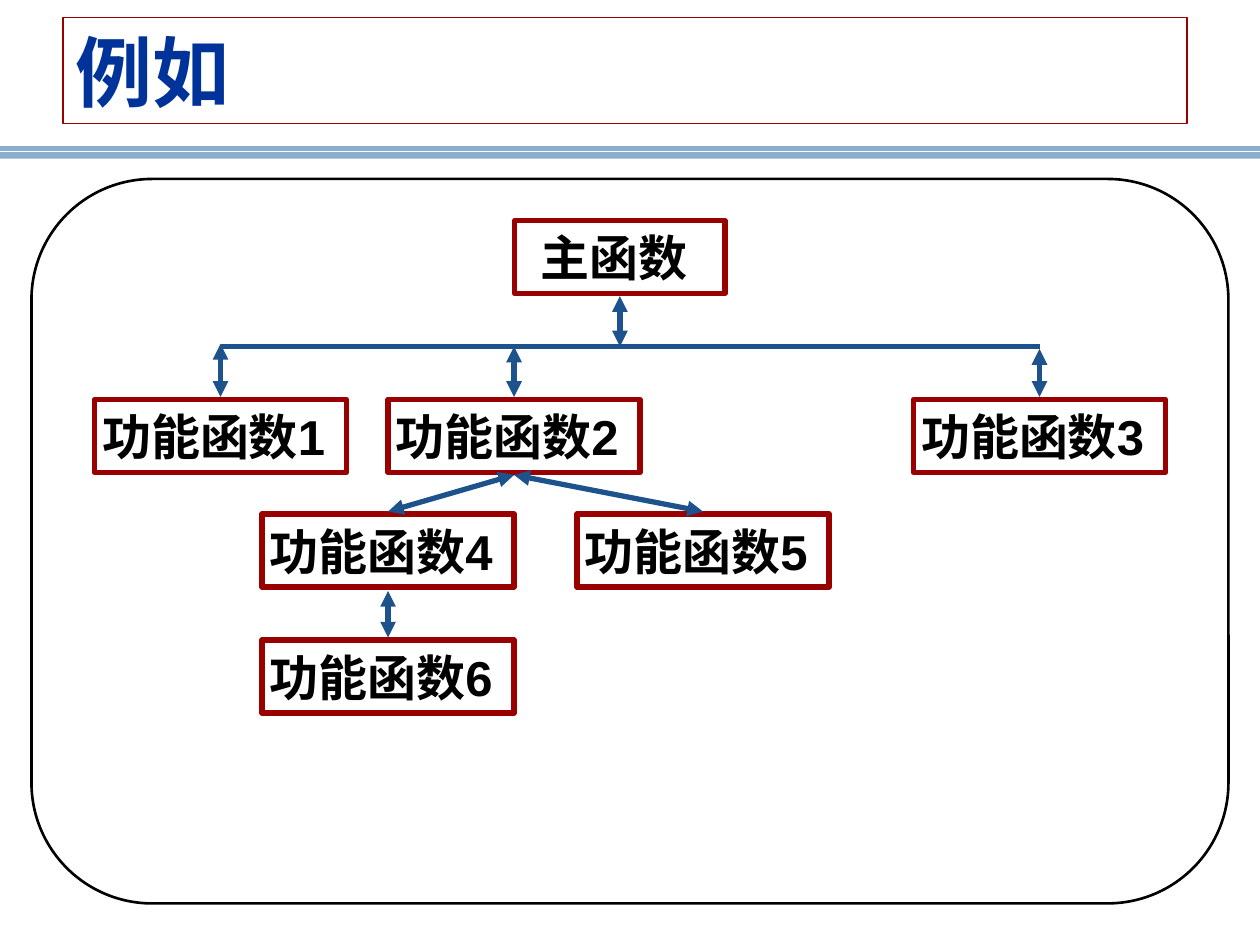
from pptx import Presentation
from pptx.dml.color import RGBColor
from pptx.enum.shapes import MSO_CONNECTOR, MSO_SHAPE
from pptx.enum.text import MSO_ANCHOR, PP_ALIGN
from pptx.oxml.ns import qn
from pptx.util import Inches, Pt
from lxml import etree

RECT = MSO_SHAPE.RECTANGLE
PANEL = MSO_SHAPE.FLOWCHART_ALTERNATE_PROCESS
STRAIGHT = MSO_CONNECTOR.STRAIGHT
MIDDLE = MSO_ANCHOR.MIDDLE
LEFT, CENTER = PP_ALIGN.LEFT, PP_ALIGN.CENTER
RED, BLUE, BLACK = "990000", "1D528D", "000000"

prs = Presentation()
prs.slide_width, prs.slide_height = Inches(10), Inches(7.5)
slide = prs.slides.add_slide(prs.slide_layouts[6])
rgb = RGBColor.from_string


def add_box(kind, left, top, width, height, line, weight, text="",
            size=28, font="Arial", color=BLACK, align=CENTER, wrap=False):
    box = slide.shapes.add_shape(kind, Inches(left), Inches(top), Inches(width), Inches(height))
    box.shadow.inherit = False
    box.fill.background()
    box.line.color.rgb = rgb(line)
    box.line.width = Pt(weight)
    if text:
        frame = box.text_frame
        frame.word_wrap = wrap
        frame.vertical_anchor = MIDDLE
        paragraph = frame.paragraphs[0]
        paragraph.alignment = align
        run = paragraph.add_run()
        run.text = text
        run.font.name, run.font.size, run.font.bold = font, Pt(size), True
        run.font.color.rgb = rgb(color)
    return box


def add_line(x1, y1, x2, y2, color=BLUE, weight=3, arrows=True):
    link = slide.shapes.add_connector(STRAIGHT, Inches(x1), Inches(y1), Inches(x2), Inches(y2))
    link.line.color.rgb = rgb(color)
    link.line.width = Pt(weight)
    if arrows:
        outline = link.line._get_or_add_ln()
        for end in ("a:headEnd", "a:tailEnd"):
            etree.SubElement(outline, qn(end), type="triangle")
    etree.SubElement(link._element.spPr, qn("a:effectLst"))


# Panel and double rule under the title
add_box(PANEL, 0.25, 1.42, 9.5, 5.75, BLACK, 1.5)
band = slide.shapes.add_shape(RECT, 0, Inches(1.16), Inches(10), Inches(0.1))
band.shadow.inherit = False
band.fill.solid()
band.fill.fore_color.rgb = rgb("8AAECE")
band.line.fill.background()
add_line(0, 1.2, 10, 1.2, "FFFFFF", 0.75, arrows=False)

# Function boxes: centre x, top, width, label
functions = [
    (4.92, 1.75, 1.67, "主函数 "),
    (1.75, 3.17, 2, "功能函数1 "),
    (4.08, 3.17, 2, "功能函数2 "),
    (8.25, 3.17, 2, "功能函数3 "),
    (3.08, 4.08, 2, "功能函数4 "),
    (5.58, 4.08, 2, "功能函数5 "),
    (3.08, 5.08, 2, "功能函数6 "),
]
for center, top, width, label in functions:
    add_box(RECT, center - width / 2, top, width, 0.58, RED, 3, label)

# Call bus and two-way calls
add_line(1.75, 2.75, 8.25, 2.75, arrows=False)
calls = [
    (4.92, 2.35, 4.92, 2.75),
    (1.75, 2.73, 1.75, 3.15),
    (8.25, 2.77, 8.25, 3.15),
    (4.08, 2.75, 4.08, 3.15),
    (3.08, 4.69, 3.08, 5.06),
    (4.08, 3.77, 3.08, 4.06),
    (4.08, 3.77, 5.58, 4.06),
]
for call in calls:
    add_line(*call)

# Title
add_box(RECT, 0.5, 0.14, 8.92, 0.84, RED, 1, "例如", 44, "Courier New", "003399", LEFT, True)

prs.save("out.pptx")
